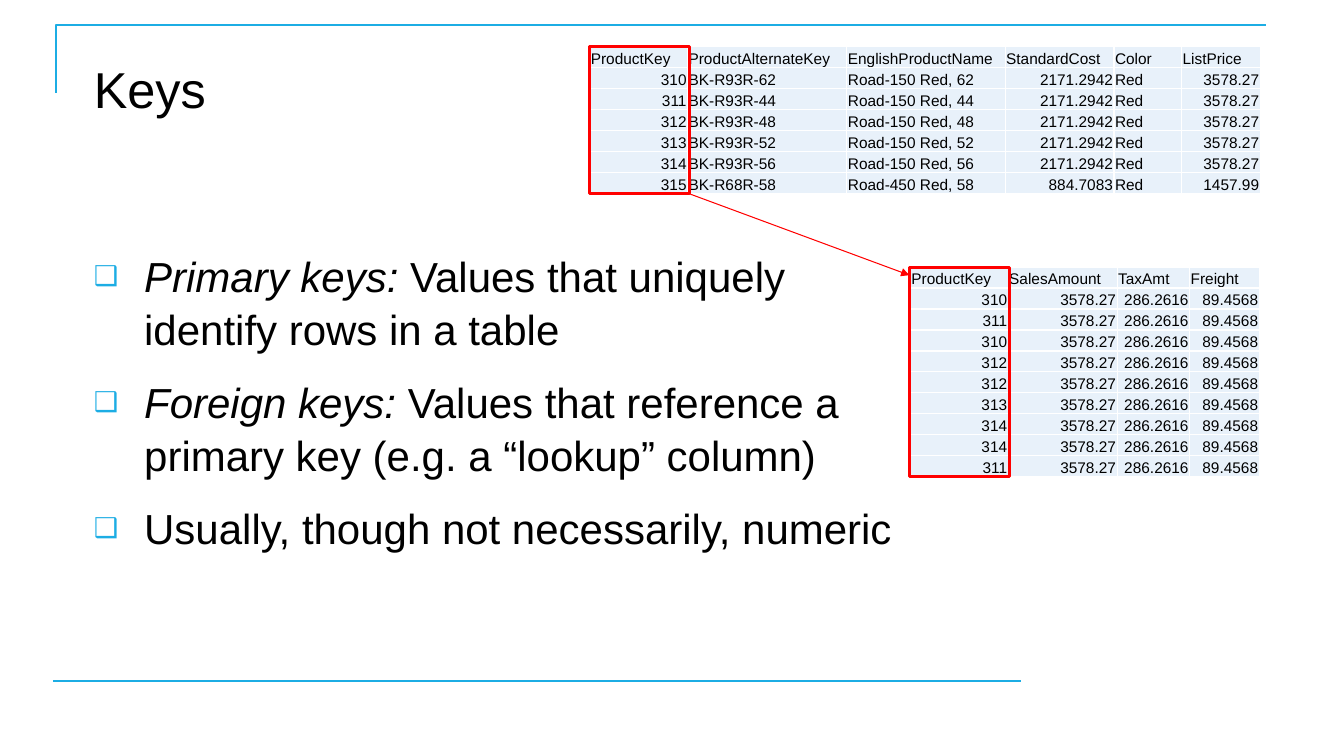
"""Build the slide on primary and foreign keys, with two sample tables."""
from lxml.etree import SubElement
from pptx import Presentation
from pptx.dml.color import RGBColor
from pptx.enum.shapes import MSO_CONNECTOR as Connector, MSO_SHAPE as Preset
from pptx.enum.text import MSO_ANCHOR as Anchor, MSO_AUTO_SIZE as AutoSize, PP_ALIGN as Align
from pptx.oxml.ns import qn
from pptx.util import Inches, Pt

ACCENT, BLACK, WHITE, RED, PALE = "1CADE4", "000000", "FFFFFF", "FF0000", "E8F1FA"
ROAD_BIKES = [("310", "BK-R93R-62", "Road-150 Red, 62"), ("311", "BK-R93R-44", "Road-150 Red, 44"),
              ("312", "BK-R93R-48", "Road-150 Red, 48"), ("313", "BK-R93R-52", "Road-150 Red, 52"),
              ("314", "BK-R93R-56", "Road-150 Red, 56")]
PRODUCTS = [
    ("ProductKey", "ProductAlternateKey", "EnglishProductName", "StandardCost", "Color", "ListPrice"),
    *[(*bike, "2171.2942", "Red", "3578.27") for bike in ROAD_BIKES],
    ("315", "BK-R68R-58", "Road-450 Red, 58", "884.7083", "Red", "1457.99"),
]
SOLD_KEYS = ["310", "311", "310", "312", "312", "313", "314", "314", "311"]
SALES = [
    ("ProductKey", "SalesAmount", "TaxAmt", "Freight"),
    *[(key, "3578.27", "286.2616", "89.4568") for key in SOLD_KEYS],
]
KEY_FACTS = [
    ("Primary keys:", " Values that uniquely\nidentify rows in a table"),
    ("Foreign keys:", " Values that reference a\nprimary key (e.g. a “lookup” column)"),
    ("", "Usually, though not necessarily, numeric"),
]


def colour(value):
    return RGBColor.from_string(value)


def write(para, text, size=11, italic=False, font="Arial", ink=BLACK):
    for number, line in enumerate(text.split("\n")):
        if number:
            para.add_line_break()
        span = para.add_run()
        span.text = line
        span.font.name, span.font.size = font, Pt(size)
        span.font.italic = italic
        span.font.color.rgb = colour(ink)


def add_bullet(para):
    para.space_before, para.space_after = Pt(15), Pt(0)
    properties = para._p.get_or_add_pPr()
    properties.set("marL", str(Inches(0.5)))
    properties.set("indent", str(-Inches(0.5)))
    SubElement(SubElement(properties, qn("a:buClr")), qn("a:srgbClr"), val=ACCENT)
    SubElement(properties, qn("a:buSzPct"), val="65000")
    SubElement(properties, qn("a:buFont"), typeface="Arial")
    SubElement(properties, qn("a:buChar"), char="❑")


def add_borders(cell):
    properties = cell._tc.get_or_add_tcPr()
    for index, side in enumerate(("lnL", "lnR", "lnT", "lnB")):
        border = SubElement(properties, qn(f"a:{side}"), w=str(Pt(1)))
        SubElement(SubElement(border, qn("a:solidFill")), qn("a:srgbClr"), val=WHITE)
        properties.insert(index, border)


class KeysSlide:
    def __init__(self, deck):
        self.page = deck.slides.add_slide(deck.slide_layouts[1])
        self.shapes = self.page.shapes

    def place(self, box, left, top, width, height):
        box.left, box.top = Inches(left), Inches(top)
        box.width, box.height = Inches(width), Inches(height)
        frame = box.text_frame
        frame.word_wrap, frame.auto_size = True, AutoSize.NONE
        frame.vertical_anchor = Anchor.TOP
        return frame

    def title(self, text, *area):
        para = self.place(self.shapes.title, *area).paragraphs[0]
        para.alignment, para.line_spacing = Align.LEFT, 1.04
        write(para, text, size=36)

    def bullets(self, facts, *area):
        frame = self.place(self.page.placeholders[1], *area)
        for number, (term, meaning) in enumerate(facts):
            para = frame.add_paragraph() if number else frame.paragraphs[0]
            para.line_spacing = 1.04
            add_bullet(para)
            if term:
                write(para, term, size=30, italic=True)
            write(para, meaning, size=30)

    def outline(self, shape, ink, weight):
        shape.line.color.rgb = colour(ink)
        shape.line.width = Pt(weight)

    def corner(self, left, top, right, bottom):
        builder = self.shapes.build_freeform(Inches(left), Inches(bottom))
        builder.add_line_segments(
            [(Inches(left), Inches(top)), (Inches(right), Inches(top))], close=False)
        shape = builder.convert_to_shape()
        shape.shadow.inherit = False
        shape.fill.background()
        self.outline(shape, ACCENT, 1.5)

    def line(self, *ends, ink=ACCENT, weight=1.5, arrow=False):
        connector = self.shapes.add_connector(Connector.STRAIGHT, *map(Inches, ends))
        self.outline(connector, ink, weight)
        if arrow:
            SubElement(connector.line._get_or_add_ln(), qn("a:tailEnd"), type="triangle")
        SubElement(connector._element.spPr, qn("a:effectLst"))

    def table(self, rows, left, top, widths, height):
        table = self.shapes.add_table(
            len(rows), len(widths), Inches(left), Inches(top),
            Inches(sum(widths)), Inches(height)).table
        table.first_row = table.horz_banding = False
        for column, width in zip(table.columns, widths):
            column.width = Inches(width)
        for row, values in zip(table.rows, rows):
            row.height = Inches(height / len(rows))
            for cell, value in zip(row.cells, values):
                self.fill_cell(cell, value)

    def fill_cell(self, cell, value):
        cell.margin_left = cell.margin_right = cell.margin_top = Inches(0.01)
        cell.margin_bottom = 0
        cell.vertical_anchor = Anchor.BOTTOM
        cell.fill.solid()
        cell.fill.fore_color.rgb = colour(PALE)
        add_borders(cell)
        para = cell.text_frame.paragraphs[0]
        numeric = value.replace(".", "").isdigit()
        para.alignment = Align.RIGHT if numeric else Align.LEFT
        write(para, value)

    def highlight(self, *area):
        shape = self.shapes.add_shape(Preset.RECTANGLE, *map(Inches, area))
        shape.shadow.inherit = False
        shape.fill.background()
        self.outline(shape, RED, 2)


def main():
    deck = Presentation()
    deck.slide_width, deck.slide_height = Inches(13.33), Inches(7.5)
    slide = KeysSlide(deck)
    slide.corner(0.56, 0.25, 12.56, 0.92)
    slide.line(0.53, 6.76, 10.13, 6.76)
    slide.title("Keys", 0.83, 0.5, 11.67, 1.25)
    slide.bullets(KEY_FACTS, 0.83, 2.42, 11.67, 3.58)
    slide.table(PRODUCTS, 5.85, 0.46, (0.97, 1.58, 1.57, 1.08, 0.67, 0.78), 1.46)
    slide.table(SALES, 9.03, 2.65, (0.97, 1.08, 0.72, 0.69), 2.08)
    slide.line(6.83, 1.92, 9.02, 2.73, ink=RED, weight=0.75, arrow=True)
    slide.highlight(9.02, 2.65, 0.99, 2.08)
    slide.highlight(5.85, 0.46, 0.99, 1.46)
    deck.save("out.pptx")


if __name__ == "__main__":
    main()
